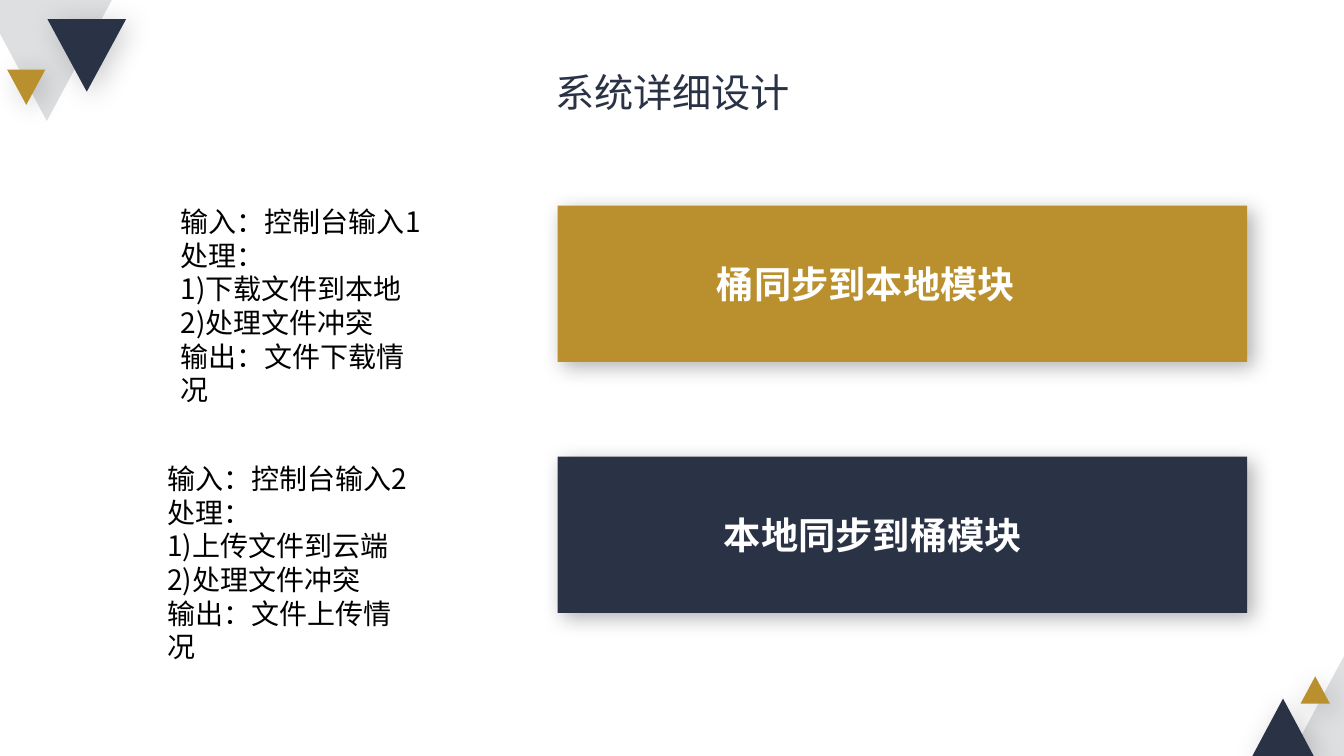
from dataclasses import dataclass

from lxml import etree
from pptx import Presentation, util as u
from pptx.dml.color import RGBColor
from pptx.enum import shapes, text
from pptx.oxml import ns


@dataclass(frozen=True)
class Theme:
    font: str = "Noto Sans CJK SC"
    navy: str = "2A3246"
    gold: str = "BA8F2D"
    grey: str = "DDDFE0"
    white: str = "FFFFFF"
    black: str = "000000"
    title: float = 28
    label: float = 26.6
    body: float = 20


T = Theme()
prs = Presentation()
prs.slide_width, prs.slide_height = u.Inches(13.33), u.Inches(7.5)
s = prs.slides.add_slide(prs.slide_layouts.get_by_name("Two Content"))


def add_block(kind, x, y, w, h, fill, shadow=None, turn=0):
    """Place a filled shape by percent of the slide; shadow is (alpha, blur)."""
    sp = s.shapes.add_shape(kind, *place(x, y, w, h))
    sp.rotation = turn
    sp.fill.solid()
    sp.fill.fore_color.rgb = RGBColor.from_string(fill)
    sp.line.fill.background()
    sp.shadow.inherit = False
    if shadow:
        alpha, blur = shadow
        effects = sp._element.spPr.find(ns.qn("a:effectLst"))
        outer = etree.SubElement(effects, ns.qn("a:outerShdw"), blurRad=str(u.Pt(blur)),
                                 dist=str(u.Pt(5)), dir="2700000", algn="tl", rotWithShape="0")
        color = etree.SubElement(outer, ns.qn("a:srgbClr"), val=T.black)
        etree.SubElement(color, ns.qn("a:alpha"), val=str(alpha * 1000))


def place(x, y, w, h):
    return [int(share / 100 * side) for share, side in
            zip((x, y, w, h), (prs.slide_width, prs.slide_height) * 2)]


def write(sp, lines, box, size, color, bold=False, align=text.PP_ALIGN.LEFT,
          anchor=text.MSO_ANCHOR.TOP, spacing=1.0):
    sp.left, sp.top, sp.width, sp.height = place(*box)
    tf = sp.text_frame
    tf.word_wrap, tf.auto_size = True, text.MSO_AUTO_SIZE.NONE
    tf.vertical_anchor = anchor
    for i, line in enumerate(lines):
        p = tf.paragraphs[0] if i == 0 else tf.add_paragraph()
        p.alignment, p.line_spacing = align, spacing
        p.space_before = p.space_after = u.Pt(0)
        pPr = p._p.get_or_add_pPr()
        pPr.set("marL", "0")
        pPr.set("indent", "0")
        etree.SubElement(pPr, ns.qn("a:buNone"))
        r = p.add_run()
        r.text = line
        r.font.name, r.font.size, r.font.bold = T.font, u.Pt(size), bold
        r.font.color.rgb = RGBColor.from_string(color)
        etree.SubElement(r._r.rPr, ns.qn("a:ea"), typeface=T.font)


# Corner triangles: top left points down, bottom right points up
triangle = shapes.MSO_SHAPE.ISOSCELES_TRIANGLE
soft = (20, 20)
for x, y, w, h, fill, shadow, turn in [
    (-1.43, -0.27, 9.83, 16.27, T.grey, None, 180),
    (3.53, 2.53, 5.85, 9.6, T.navy, soft, 180),
    (0.53, 9.2, 2.85, 4.67, T.gold, soft, 180),
    (95.05, 86.8, 9.9, 16.4, T.grey, None, 0),
    (93.1, 92.4, 4.73, 7.87, T.navy, soft, 0),
    (96.77, 89.47, 2.18, 3.6, T.gold, soft, 0),
]:
    add_block(triangle, x, y, w, h, fill, shadow, turn)

# Title
title, *bodies = s.placeholders
write(title, ["系统详细设计"], (38.26, 7.07, 23.56, 8.8), T.title, T.navy,
      align=text.PP_ALIGN.CENTER, spacing=1.2)

# Modules: description on the left, labelled bar on the right
modules = [
    ("桶同步到本地模块", T.gold, 27.2, 35.86, (12.68, 26.4),
     ["输入：控制台输入1", "处理：", "1)下载文件到本地", "2)处理文件冲突", "输出：文件下载情况"]),
    ("本地同步到桶模块", T.navy, 60.4, 36.91, (11.7, 60.4),
     ["输入：控制台输入2", "处理：", "1)上传文件到云端", "2)处理文件冲突", "输出：文件上传情况"]),
]
for body, (name, fill, top, label_w, corner, lines) in zip(bodies, modules):
    add_block(shapes.MSO_SHAPE.RECTANGLE, 41.49, top, 51.31, 20.67, fill, (30, 15))
    label = s.shapes.add_textbox(0, 0, 0, 0)
    write(label, [name], (46.51, top + 6.67, label_w, 7.33), T.label, T.white, bold=True,
          align=text.PP_ALIGN.CENTER, anchor=text.MSO_ANCHOR.MIDDLE)
    write(body, lines, (*corner, 20.1, 28), T.body, T.black, spacing=u.Pt(24))

# Unused date, footer and number placeholders
for sp in list(s.placeholders):
    if not sp.text_frame.text:
        sp._element.getparent().remove(sp._element)

prs.save("out.pptx")
